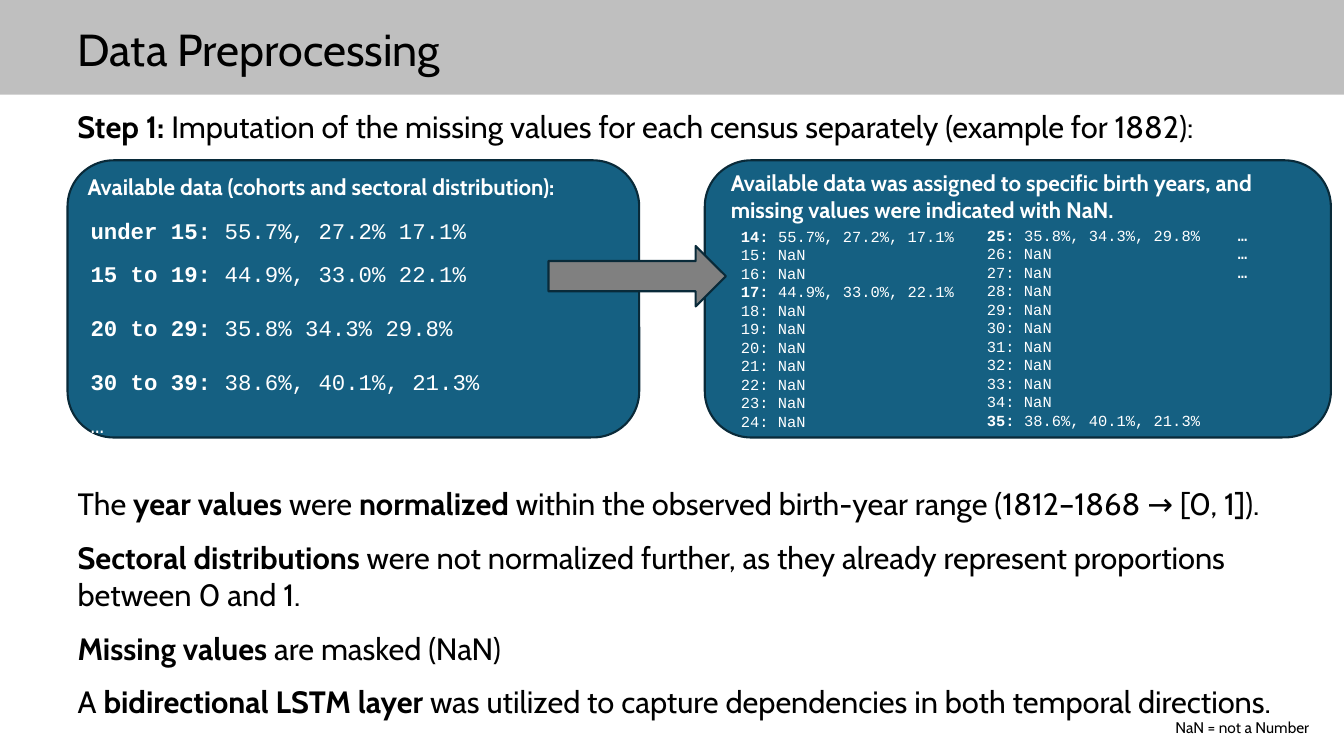
from dataclasses import dataclass

from lxml import etree
from pptx import Presentation
from pptx.dml.color import RGBColor
from pptx.enum.shapes import MSO_SHAPE
from pptx.enum.text import MSO_ANCHOR, MSO_AUTO_SIZE, PP_ALIGN
from pptx.oxml.ns import qn
from pptx.util import Emu, Pt

RECTANGLE = MSO_SHAPE.RECTANGLE
ROUNDED = MSO_SHAPE.ROUNDED_RECTANGLE
ARROW = MSO_SHAPE.RIGHT_ARROW
TOP, MIDDLE = MSO_ANCHOR.TOP, MSO_ANCHOR.MIDDLE
LEFT = PP_ALIGN.LEFT
NO_AUTOFIT = MSO_AUTO_SIZE.NONE


@dataclass(frozen=True)
class Theme:
    band: str = "BFBFBF"
    panel: str = "156082"
    outline: str = "092A39"
    arrow: str = "808080"
    dark: str = "000000"
    light: str = "FFFFFF"
    sans: str = "Cabin"
    mono: str = "Courier New"
    title: int = 32
    body: int = 22
    panel_text: int = 16
    small: int = 11
    line: float = 1.5
    gap: int = 12


THEME = Theme()
PX = 9144  # 100 px to the inch

# Content: a paragraph is a list of (text, bold) spans
TITLE = "Data Preprocessing"
STEP = [[("Step 1: ", True),
         ("Imputation of the missing values for each census separately "
          "(example for 1882):", False)]]
COHORT_HEADING = "Available data (cohorts and sectoral distribution):"
COHORTS = [
    ("under 15: ", "55.7%, 27.2% 17.1%"),
    ("15 to 19: ", "44.9%, 33.0% 22.1%"),
    ("20 to 29: ", "35.8% 34.3% 29.8%"),
    ("30 to 39: ", "38.6%, 40.1%, 21.3%"),
]
COHORT_GAPS = [12, 19, 19, 12, 0]
YEAR_HEADING = ("Available data was assigned to specific birth years, "
                "and missing values were indicated with NaN.")
KNOWN_YEARS = {
    14: "55.7%, 27.2%, 17.1%",
    17: "44.9%, 33.0%, 22.1%",
    25: "35.8%, 34.3%, 29.8%",
    35: "38.6%, 40.1%, 21.3%",
}
YEAR_COLUMNS = [
    ((725, 220, 258, 214), range(14, 25)),
    ((969, 219, 258, 214), range(25, 36)),
]
NOTES = [
    [("The ", False), ("year values ", True), ("were ", False),
     ("normalized", True),
     (" within the observed birth-year range (1812–1868 → [0, 1]).", False)],
    [("Sectoral distributions ", True),
     ("were not normalized further, as they already represent proportions "
      "between 0 and 1.", False)],
    [("Missing values ", True), ("are masked (NaN)", False)],
    [("A ", False), ("bidirectional LSTM layer", True),
     (" was utilized to capture dependencies in both temporal directions.",
      False)],
]
FOOTNOTE = "NaN = not a Number"
PANELS = [(67, 159, 567, 275), (699, 159, 621, 275)]


def place(shape, area):
    shape.left, shape.top, shape.width, shape.height = (
        Emu(length * PX) for length in area)


def write(box, paragraphs, size, color=THEME.dark, font=THEME.sans,
          gaps=None, spacing=1.0, anchor=TOP):
    frame = box.text_frame
    frame.word_wrap = True
    frame.auto_size = NO_AUTOFIT
    frame.vertical_anchor = anchor
    for index, spans in enumerate(paragraphs):
        para = frame.paragraphs[0] if index == 0 else frame.add_paragraph()
        if box.is_placeholder:
            properties = para._p.get_or_add_pPr()
            properties.set("marL", "0")
            properties.set("indent", "0")
            etree.SubElement(properties, qn("a:buNone"))
        para.alignment = LEFT
        para.line_spacing = spacing
        para.space_before = Pt(0)
        para.space_after = Pt(gaps[index] if gaps else 0)
        for text, bold in spans:
            span = para.add_run()
            span.text = text
            span.font.name = font
            span.font.size = Pt(size)
            span.font.bold = bold
            span.font.color.rgb = RGBColor.from_string(color)


def add_text(page, area, paragraphs, size, **style):
    box = page.shapes.add_textbox(0, 0, 0, 0)
    place(box, area)
    write(box, paragraphs, size, **style)


def add_block(page, kind, area, fill, outline=None):
    block = page.shapes.add_shape(kind, 0, 0, 0, 0)
    place(block, area)
    block.shadow.inherit = False
    block.fill.solid()
    block.fill.fore_color.rgb = RGBColor.from_string(fill)
    if outline:
        block.line.color.rgb = RGBColor.from_string(outline)
        block.line.width = Pt(THEME.line)
    else:
        block.line.fill.background()
    return block


def main():
    deck = Presentation()
    deck.slide_width, deck.slide_height = Emu(1333 * PX), Emu(750 * PX)
    page = deck.slides.add_slide(deck.slide_layouts[1])

    # Title on its band, which goes behind the placeholders
    band = add_block(page, RECTANGLE, (0, 0, 1333, 94), THEME.band)
    page.shapes._spTree.insert(2, band._element)
    title = page.shapes.title
    place(title, (67, 5, 1254, 94))
    write(title, [[(TITLE, False)]], THEME.title, spacing=0.9, anchor=MIDDLE)

    # Step line, closing notes and footnote
    add_text(page, (67, 102, 1231, 47), STEP, THEME.body)
    notes = page.placeholders[1]
    place(notes, (67, 476, 1260, 246))
    write(notes, NOTES, THEME.body, gaps=[THEME.gap] * len(NOTES))
    add_text(page, (1156, 707, 170, 29), [[(FOOTNOTE, False)]], THEME.small)

    # Panels and the arrow between them
    for area in PANELS:
        add_block(page, ROUNDED, area, THEME.panel, THEME.outline)
    add_block(page, ARROW, (544, 244, 176, 60), THEME.arrow, THEME.outline)

    # Panel headings
    for area, heading in [((77, 167, 535, 37), COHORT_HEADING),
                          ((715, 163, 552, 64), YEAR_HEADING)]:
        add_text(page, area, [[(heading, True)]], THEME.panel_text,
                 color=THEME.light)

    # Cohort list
    cohorts = [[(ages, True), (shares, False)] for ages, shares in COHORTS]
    add_text(page, (80, 210, 506, 230), cohorts + [[("…", False)]],
             THEME.panel_text, color=THEME.light, font=THEME.mono,
             gaps=COHORT_GAPS, spacing=Pt(19.3))

    # Birth years, NaN where no value is known
    columns = [(area, [[(f"{year}: ", year in KNOWN_YEARS),
                        (KNOWN_YEARS.get(year, "NaN"), False)]
                       for year in years])
               for area, years in YEAR_COLUMNS]
    columns.append(((1218, 219, 72, 84), [[("…", True)]] * 3))
    for area, rows in columns:
        add_text(page, area, rows, THEME.small, color=THEME.light,
                 font=THEME.mono, spacing=Pt(13.2))

    deck.save("out.pptx")


if __name__ == "__main__":
    main()
